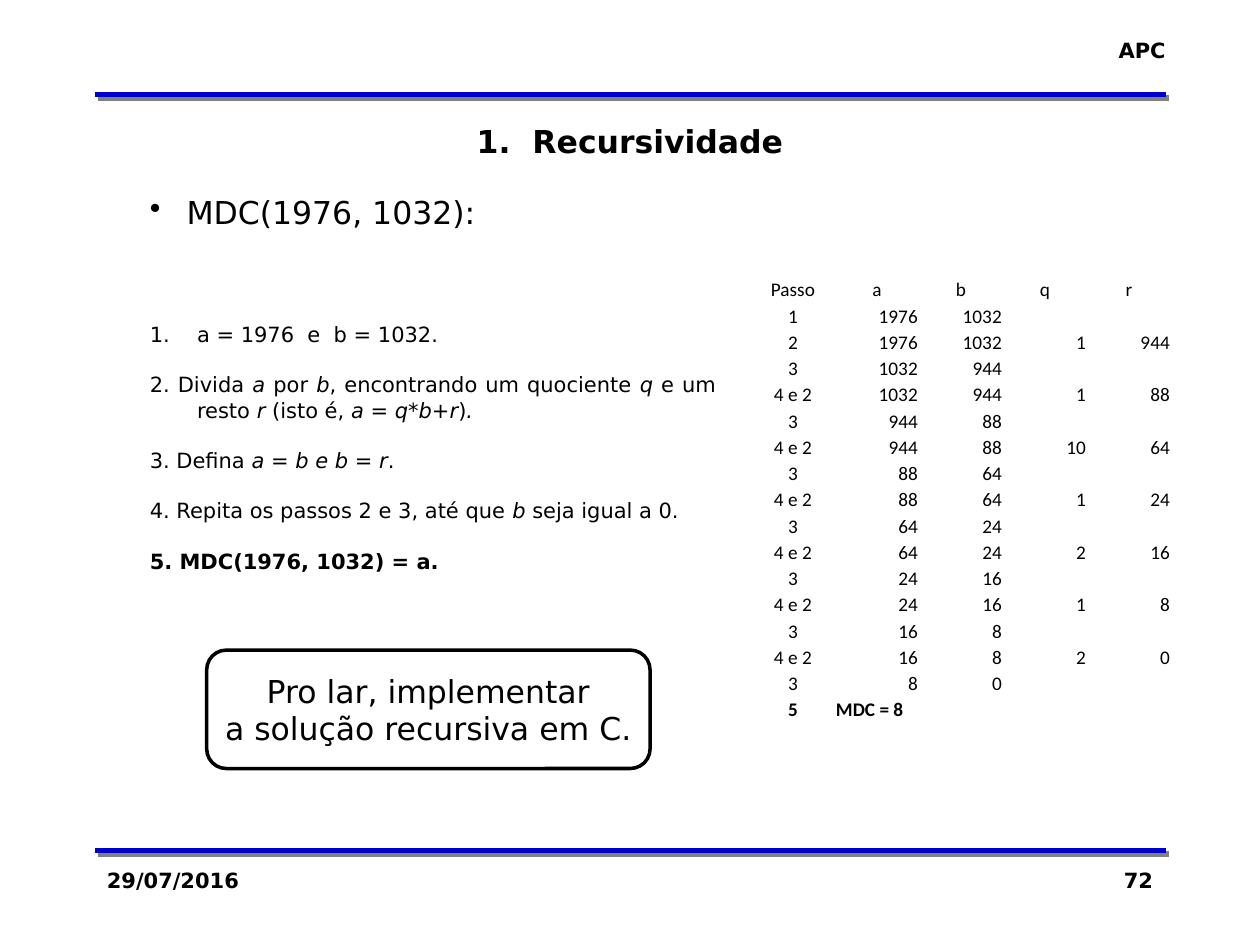
import pptx
import pptx.dml.color
import pptx.enum.shapes
import pptx.enum.text
import pptx.oxml
import pptx.oxml.ns
import pptx.util

Pt = pptx.util.Pt
ALIGN = pptx.enum.text.PP_ALIGN
ANCHOR = pptx.enum.text.MSO_ANCHOR
COLORS = {"text": "000000", "rule": "0000CC", "shadow": "808080", "paper": "FFFFFF"}


def rgb(name):
    return pptx.dml.color.RGBColor.from_string(COLORS[name])


def euclid_rows(a, b):
    """Return one table row for each step of Euclid's algorithm."""
    rows = [("Passo", "a", "b", "q", "r"), ("1", a, b, "", "")]
    step = "2"
    while b:
        q, r = divmod(a, b)
        rows.append((step, a, b, q, r))
        a, b = b, r
        rows.append(("3", a, b, "", ""))
        step = "4 e 2"
    return rows + [("5", f"MDC = {a}", "", "", ""), ("",) * 5]


class Deck:
    font = "DejaVu Sans"

    def __init__(self, prs):
        self.s = prs.slides.add_slide(prs.slide_layouts[5])

    def style(self, p, size, align, bold=False, font=None):
        p.alignment = align
        p.font.size = Pt(size)
        p.font.name = font or self.font
        p.font.bold = bold
        p.font.color.rgb = rgb("text")

    def xml(self, parent, markup):
        head, sep, tail = markup.partition(" ")
        parent.append(pptx.oxml.parse_xml(
            f"{head} {pptx.oxml.ns.nsdecls('a')} {tail}"))

    def title(self, text, x, y, w, h):
        sp = self.s.shapes.title
        sp.left, sp.top, sp.width, sp.height = Pt(x), Pt(y), Pt(w), Pt(h)
        tf = sp.text_frame
        tf.auto_size = pptx.enum.text.MSO_AUTO_SIZE.NONE
        tf.vertical_anchor = ANCHOR.MIDDLE
        tf.text = text
        self.style(tf.paragraphs[0], 18, ALIGN.CENTER, bold=True)

    def rule(self, x1, x2, y):
        line = self.s.shapes.add_connector(
            pptx.enum.shapes.MSO_CONNECTOR.STRAIGHT, Pt(x1), Pt(y), Pt(x2), Pt(y))
        line.line.color.rgb = rgb("rule")
        line.line.width = Pt(3)
        self.xml(line._element.spPr,
                 '<a:effectLst ><a:outerShdw dist="35560" dir="2700000">'
                 f'<a:srgbClr val="{COLORS["shadow"]}"/></a:outerShdw></a:effectLst>')

    def label(self, text, x, y, w, h, align, wrap=True):
        tf = self.s.shapes.add_textbox(Pt(x), Pt(y), Pt(w), Pt(h)).text_frame
        tf.word_wrap = wrap
        tf.text = text
        self.style(tf.paragraphs[0], 12, align, bold=True)

    def steps(self, items, x, y, w, h):
        """Each item: text with _italic_ marks, size, space before, indent, bullet, bold."""
        tf = self.s.shapes.add_textbox(Pt(x), Pt(y), Pt(w), Pt(h)).text_frame
        tf.word_wrap = True
        for i, (text, size, before, indent, bullet, bold) in enumerate(items):
            p = tf.paragraphs[0] if i == 0 else tf.add_paragraph()
            if before:
                p.space_before = Pt(before)
            pPr = p._p.get_or_add_pPr()
            pPr.set("marL", str(Pt(indent)))
            pPr.set("indent", str(-Pt(indent)))
            self.xml(pPr, bullet)
            for k, part in enumerate(text.split("_")):
                if part:
                    r = p.add_run()
                    r.text = part
                    if k % 2:
                        r.font.italic = True
            self.style(p, size, ALIGN.JUSTIFY, bold)

    def table(self, rows, x, y, col_w, row_h):
        n, m = len(rows), len(rows[0])
        table = self.s.shapes.add_table(
            n, m, Pt(x), Pt(y), Pt(m * col_w), Pt(n * row_h)).table
        table.first_row = table.horz_banding = False
        for col in table.columns:
            col.width = Pt(col_w)
        for i, row in enumerate(rows):
            table.rows[i].height = Pt(row_h)
            for j, value in enumerate(row):
                cell = table.cell(i, j)
                cell.fill.background()
                cell.vertical_anchor = ANCHOR.BOTTOM
                cell.margin_left = cell.margin_right = cell.margin_top = Pt(0.6)
                cell.margin_bottom = Pt(0)
                cell.text = str(value)
                p = cell.text_frame.paragraphs[0]
                result = i == n - 2
                if i == 0 or j == 0:
                    align = ALIGN.CENTER
                else:
                    align = ALIGN.LEFT if result else ALIGN.RIGHT
                self.style(p, 11, align, bold=result, font="Calibri")
                if value == "":
                    self.xml(p._p, '<a:endParaRPr sz="1100"/>')

    def callout(self, lines, x, y, w, h):
        sp = self.s.shapes.add_shape(
            pptx.enum.shapes.MSO_SHAPE.ROUNDED_RECTANGLE, Pt(x), Pt(y), Pt(w), Pt(h))
        sp.shadow.inherit = False
        sp.fill.solid()
        sp.fill.fore_color.rgb = rgb("paper")
        sp.line.color.rgb = rgb("text")
        sp.line.width = Pt(2)
        tf = sp.text_frame
        tf.word_wrap = False
        tf.vertical_anchor = ANCHOR.MIDDLE
        tf.text = "\n".join(lines)
        for p in tf.paragraphs:
            self.style(p, 18, ALIGN.CENTER)


def main():
    prs = pptx.Presentation()
    prs.slide_width, prs.slide_height = Pt(720), Pt(540)
    deck = Deck(prs)

    # Header and footer
    for y in (486, 54):
        deck.rule(54, 666, y)
    deck.label("APC", 631.4, 18, 41.8, 21.6, ALIGN.RIGHT, wrap=False)
    deck.label("29/07/2016", 54, 492, 150, 36, ALIGN.LEFT)
    deck.label("72", 516, 492, 150, 36, ALIGN.RIGHT)

    # Title
    deck.title("1.  Recursividade", 54, 66.2, 612, 28.8)

    # Algorithm steps
    plain = "<a:buNone />"
    deck.steps([
        ("MDC(1976, 1032):", 18, 0, 21, '<a:buChar char="•"/>', False),
        ("a = 1976  e  b = 1032.", 12, 52, 27, '<a:buAutoNum type="arabicPeriod"/>', False),
        ("2. Divida _a_ por _b_, encontrando um quociente _q_ e um resto _r_ "
         "(isto é, _a = q*b+r_)_._", 12, 14.4, 27, plain, False),
        ("3. Defina _a = b e b = r_.", 12, 14.4, 27, plain, False),
        ("4. Repita os passos 2 e 3, até que _b_ seja igual a 0.", 12, 14.4, 27, plain, False),
        ("5. MDC(1976, 1032) = a.", 12, 14.4, 27, plain, True),
    ], 78.5, 106.6, 337.7, 249.8)

    # Trace of the algorithm
    deck.table(euclid_rows(1976, 1032), 429.1, 157.7, 48, 15)

    # Exercise
    deck.callout(("Pro lar, implementar", "a solução recursiva em C."),
                 118.1, 371.5, 253.4, 67.7)

    prs.save("out.pptx")


if __name__ == "__main__":
    main()
